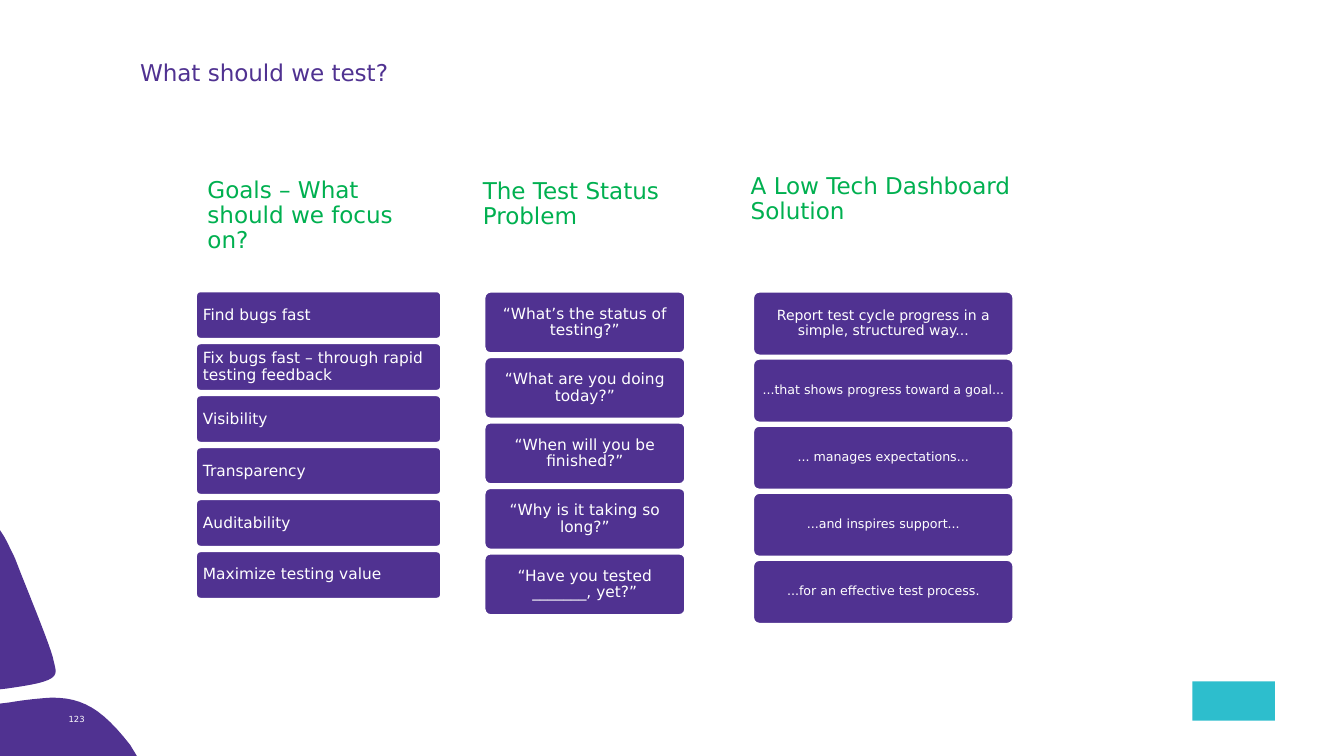
from pptx import Presentation
from pptx.dml.color import RGBColor
from pptx.enum.shapes import MSO_SHAPE
from pptx.enum.text import MSO_ANCHOR, PP_ALIGN
from pptx.util import Cm, Pt

PURPLE = RGBColor(0x50, 0x32, 0x91)
GREEN = RGBColor(0x00, 0xB0, 0x50)
TEAL = RGBColor(0x2D, 0xBE, 0xCD)
WHITE = RGBColor(0xFF, 0xFF, 0xFF)
FONT = "DejaVu Sans"

# Corner outlines in cm: a start point, then lines (one point) or
# Bezier curves (two control points and an end point)
UPPER_LEAF = ((0, 13.36), [
    [(0.1, 13.51)],
    [(0.2, 13.69), (0.28, 13.87), (0.38, 14.07)],
    [(0.58, 14.61), (1.3, 16.33), (1.35, 16.64)],
    [(1.42, 16.94), (1.5, 17.07), (1.02, 17.2)],
    [(0.84, 17.25), (0.53, 17.3), (0.18, 17.35)],
    [(0, 17.37)],
])
LOWER_LEAF = ((1.3, 17.58), [
    [(2.08, 17.58), (2.57, 17.86), (3.28, 18.77)],
    [(3.45, 19.05)],
    [(0, 19.05)],
    [(0, 17.73)],
    [(0.25, 17.7)],
    [(0.66, 17.63), (0.99, 17.6), (1.3, 17.58)],
])

# Heading, heading box, first card box, card pitch, alignment, (text, size)
COLUMNS = [
    ("Goals – What should we focus on?", (5.23, 4.45, 5.11, 1.98),
     (4.93, 7.33, 6.2, 1.22), 1.31, PP_ALIGN.LEFT,
     [("Find bugs fast", 11),
      ("Fix bugs fast – through rapid testing feedback", 11),
      ("Visibility", 11),
      ("Transparency", 11),
      ("Auditability", 11),
      ("Maximize testing value", 11)]),
    ("The Test Status Problem", (12.17, 4.5, 4.93, 1.32),
     (12.2, 7.34, 5.08, 1.57), 1.65, PP_ALIGN.CENTER,
     [("“What’s the status of testing?”", 11),
      ("“What are you doing today?”", 11),
      ("“When will you be finished?”", 11),
      ("“Why is it taking so long?”", 11),
      ("“Have you tested _______, yet?”", 11)]),
    ("A Low Tech Dashboard Solution", (18.92, 4.39, 7.47, 1.32),
     (18.97, 7.34, 6.58, 1.63), 1.69, PP_ALIGN.CENTER,
     [("Report test cycle progress in a simple, structured way...", 10),
      ("...that shows progress toward a goal...", 9),
      ("... manages expectations...", 9),
      ("...and inspires support...", 9),
      ("...for an effective test process.", 9)]),
]


def write(sp, text, size, color, anchor, insets):
    tf = sp.text_frame
    tf.word_wrap = True
    tf.vertical_anchor = anchor
    tf.margin_left, tf.margin_top, tf.margin_right, tf.margin_bottom = map(Cm, insets)
    p = tf.paragraphs[0]
    p.text = text
    p.font.name = FONT
    p.font.size = Pt(size)
    p.font.color.rgb = color
    return p


def add_label(slide, text, box, size, color):
    sp = slide.shapes.add_textbox(*map(Cm, box))
    return write(sp, text, size, color, MSO_ANCHOR.BOTTOM, (0, 0, 0, 0.05))


def add_heading(slide, text, box, color):
    p = add_label(slide, text, box, 16.5, color)
    p.line_spacing = Pt(18)


def paint(sp, color):
    sp.shadow.inherit = False
    sp.fill.solid()
    sp.fill.fore_color.rgb = color
    sp.line.fill.background()


def add_card(slide, text, box, size, align):
    sp = slide.shapes.add_shape(MSO_SHAPE.ROUNDED_RECTANGLE, *map(Cm, box))
    paint(sp, PURPLE)
    sp.adjustments[0] = 0.1
    sp.line.color.rgb = WHITE
    sp.line.width = Pt(2)
    p = write(sp, text, size, WHITE, MSO_ANCHOR.MIDDLE, (0.15, 0.05, 0.15, 0.05))
    p.alignment = align
    p.line_spacing = 0.9


def curve_points(ends, steps=12):
    """Points along a cubic Bezier curve, without its start."""
    for i in range(1, steps + 1):
        t = i / steps
        weights = ((1 - t) ** 3, 3 * t * (1 - t) ** 2, 3 * t ** 2 * (1 - t), t ** 3)
        yield tuple(sum(w * pt[axis] for w, pt in zip(weights, ends)) for axis in (0, 1))


def add_leaf(slide, start, segments):
    points = [start]
    for segment in segments:
        if len(segment) == 1:
            points += segment
        else:
            points += curve_points([points[-1], *segment])
    outline = [(Cm(x), Cm(y)) for x, y in points]
    builder = slide.shapes.build_freeform(*outline[0])
    builder.add_line_segments(outline[1:])
    paint(builder.convert_to_shape(), PURPLE)


def add_column(slide, heading, heading_box, card_box, pitch, align, cards):
    add_heading(slide, heading, heading_box, GREEN)
    left, top, width, height = card_box
    for i, (text, size) in enumerate(cards):
        add_card(slide, text, (left, top + i * pitch, width, height), size, align)


def main():
    prs = Presentation()
    prs.slide_width, prs.slide_height = Cm(33.87), Cm(19.05)
    slide = prs.slides.add_slide(prs.slide_layouts[6])

    # Corner decoration, slide number and emblem block
    add_leaf(slide, *LOWER_LEAF)
    add_leaf(slide, *UPPER_LEAF)
    add_label(slide, "123", (1.73, 17.73, 1.8, 0.58), 6, WHITE)
    emblem = slide.shapes.add_shape(
        MSO_SHAPE.RECTANGLE, Cm(30.05), Cm(17.17), Cm(2.08), Cm(0.99))
    paint(emblem, TEAL)

    # Title and the three columns
    add_heading(slide, "What should we test?", (3.53, 1.52, 28, 0.69), PURPLE)
    for column in COLUMNS:
        add_column(slide, *column)

    prs.save("out.pptx")


if __name__ == "__main__":
    main()
